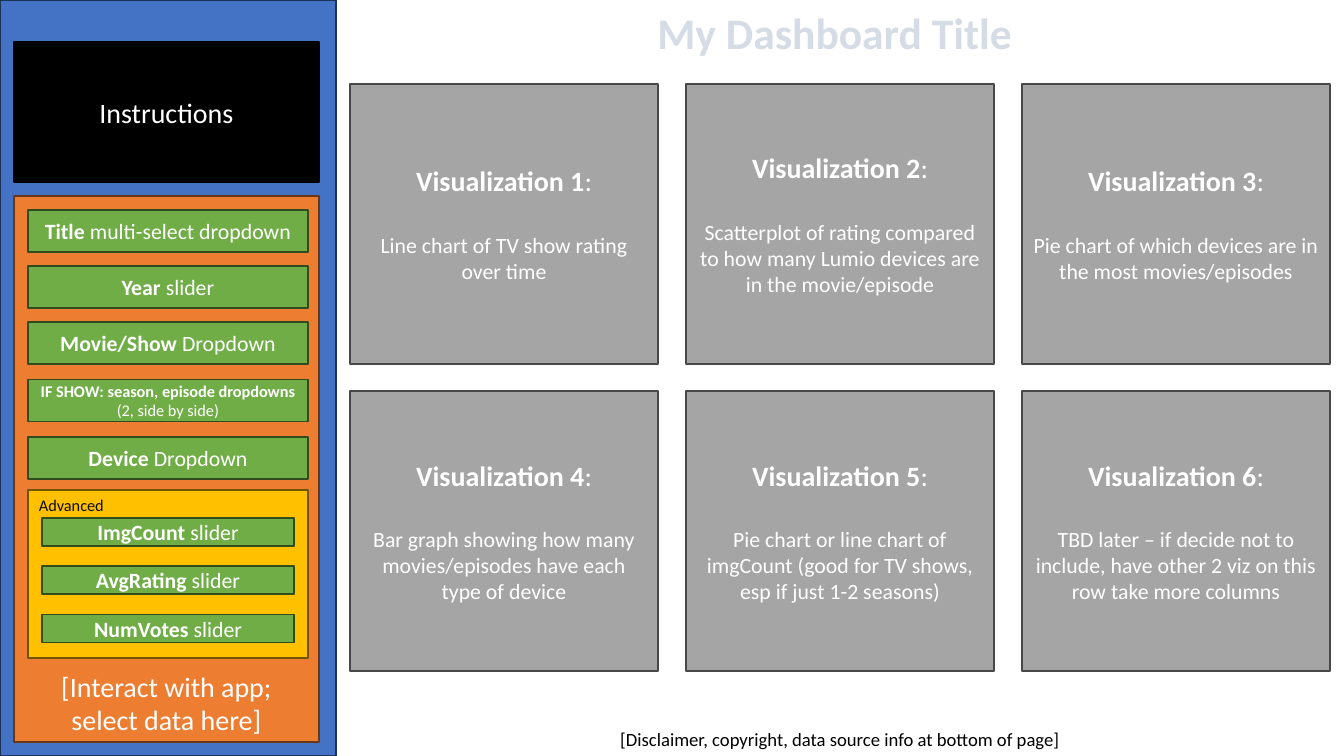
from pptx import Presentation
from pptx.dml.color import RGBColor
from pptx.enum.shapes import MSO_SHAPE
from pptx.enum.text import MSO_ANCHOR, MSO_AUTO_SIZE, PP_ALIGN
from pptx.util import Pt

RECTANGLE = MSO_SHAPE.RECTANGLE
TOP, MIDDLE, BOTTOM = MSO_ANCHOR.TOP, MSO_ANCHOR.MIDDLE, MSO_ANCHOR.BOTTOM
LEFT, CENTER = PP_ALIGN.LEFT, PP_ALIGN.CENTER
NO_AUTOFIT = MSO_AUTO_SIZE.NONE
TITLE_ONLY = 5

COLORS = {
    "white": "FFFFFF", "black": "000000", "ink": "0D0D0D", "title": "D6DCE5",
    "blue": "4472C4", "blue_edge": "1E3256",
    "gray": "A5A5A5", "gray_edge": "484848",
    "orange": "ED7D31", "orange_edge": "683715",
    "green": "70AD47", "green_edge": "314C1F",
    "yellow": "FFC000", "yellow_edge": "705400",
}


class Dashboard:
    """Style and current slide; all lengths are in points."""

    font = "Calibri"

    def __init__(self, slide):
        self.slide = slide

    def color(self, name):
        return RGBColor.from_string(COLORS[name])

    def add_text(self, frame, paragraphs, color="white", align=CENTER, anchor=MIDDLE, gap=0):
        """Each paragraph is a list of (text, size, bold) runs."""
        frame.word_wrap = True
        frame.auto_size = NO_AUTOFIT
        frame.vertical_anchor = anchor
        for index, runs in enumerate(paragraphs):
            paragraph = frame.paragraphs[0] if index == 0 else frame.add_paragraph()
            paragraph.alignment = align
            if index and gap:
                paragraph.space_before = Pt(gap)
            for text, size, bold in runs:
                run = paragraph.add_run()
                run.text = text
                run.font.name = self.font
                run.font.size = Pt(size)
                run.font.bold = bold
                run.font.color.rgb = self.color(color)

    def title(self, text, left, top, width, height):
        shape = self.slide.shapes.title
        shape.left, shape.top = Pt(left), Pt(top)
        shape.width, shape.height = Pt(width), Pt(height)
        self.add_text(shape.text_frame, [[(text, 28, True)]], "title", anchor=TOP)
        shape.text_frame.word_wrap = False

    def panel(self, left, top, width, height, fill, edge, paragraphs=(), **text_style):
        shape = self.slide.shapes.add_shape(
            RECTANGLE, Pt(left), Pt(top), Pt(width), Pt(height))
        shape.shadow.inherit = False
        shape.fill.solid()
        shape.fill.fore_color.rgb = self.color(fill)
        shape.line.color.rgb = self.color(edge)
        shape.line.width = Pt(1)
        self.add_text(shape.text_frame, paragraphs, **text_style)

    def control(self, left, top, width, height, name, kind, size=14):
        self.panel(left, top, width, height, "green", "green_edge",
                   [[(name + " ", size, True), (kind, size, False)]])

    def visualization(self, number, left, top, description):
        heading = [(f"Visualization {number}", 18, True), (":", 18, False)]
        self.panel(left, top, 198, 180, "gray", "gray_edge",
                   [heading, [(description, 14, False)]], gap=22)

    def note(self, text, left, top, width, height):
        box = self.slide.shapes.add_textbox(Pt(left), Pt(top), Pt(width), Pt(height))
        self.add_text(box.text_frame, [[(text, 12, False)]], "black", anchor=TOP)


VISUALIZATIONS = [
    "Line chart of TV show rating over time",
    "Scatterplot of rating compared to how many Lumio devices are in the movie/episode",
    "Pie chart of which devices are in the most movies/episodes",
    "Bar graph showing how many movies/episodes have each type of device",
    "Pie chart or line chart of imgCount (good for TV shows, esp if just 1-2 seasons)",
    "TBD later – if decide not to include, have other 2 viz on this row take more columns",
]
CONTROLS = [  # top, name, kind, text size
    (135, "Title", "multi-select dropdown", 14),
    (171, "Year", "slider", 14),
    (207, "Movie/Show", "Dropdown", 14),
    (244, "IF SHOW: season, episode dropdowns", "(2, side by side)", 10.5),
    (281, "Device", "Dropdown", 14),
]
ADVANCED_SLIDERS = ["ImgCount", "AvgRating", "NumVotes"]


def main():
    presentation = Presentation()
    presentation.slide_width, presentation.slide_height = Pt(864), Pt(486)
    layout = presentation.slide_layouts[TITLE_ONLY]
    dashboard = Dashboard(presentation.slides.add_slide(layout))

    # Title
    dashboard.title("My Dashboard Title", 414, 0, 245, 41)

    # Sidebar with instructions
    dashboard.panel(0, 0, 216, 486, "blue", "blue_edge")
    dashboard.panel(9, 27, 196, 90, "black", "black", [[("Instructions", 18, False)]])

    # Data selection controls
    prompt = ["[Interact with app;", "select data here]"]
    dashboard.panel(9, 126, 196, 351, "orange", "orange_edge",
                    [[(line, 18, False)] for line in prompt], anchor=BOTTOM)
    for top, name, kind, size in CONTROLS:
        dashboard.control(18, top, 180, 27, name, kind, size)

    # Advanced sliders
    dashboard.panel(18, 315, 180, 108, "yellow", "yellow_edge",
                    [[("Advanced", 10.5, False)]], color="ink", align=LEFT, anchor=TOP)
    for index, name in enumerate(ADVANCED_SLIDERS):
        dashboard.control(27, 333 + 31 * index, 162, 18, name, "slider")

    # Grid of visualizations, three to a row
    for index, description in enumerate(VISUALIZATIONS):
        row, column = divmod(index, 3)
        dashboard.visualization(
            index + 1, 225 + 216 * column, 54 + 197.5 * row, description)

    # Footer
    dashboard.note("[Disclaimer, copyright, data source info at bottom of page]",
                   225, 464.5, 630, 21.5)

    presentation.save("out.pptx")


if __name__ == "__main__":
    main()
